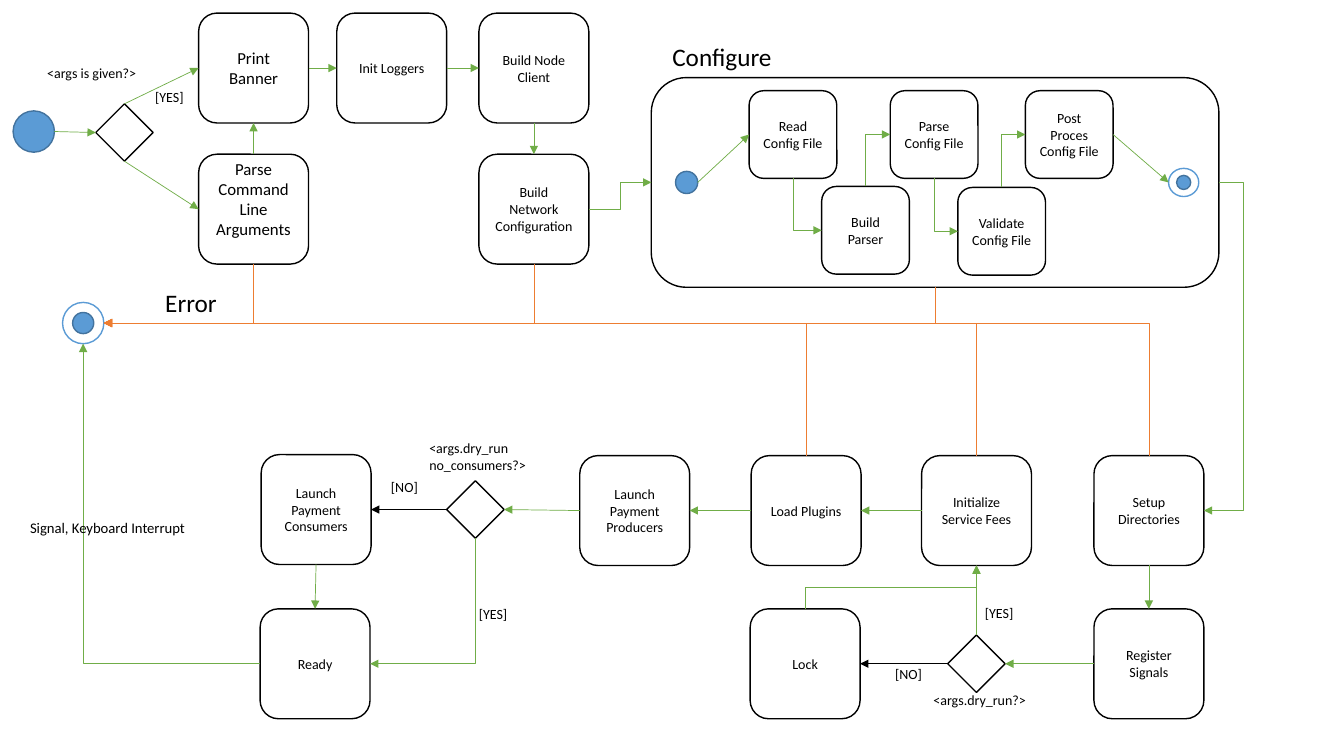
from lxml.etree import SubElement
from pptx import Presentation
from pptx.dml.color import RGBColor
from pptx.enum.shapes import MSO_AUTO_SHAPE_TYPE as Preset, MSO_CONNECTOR as Link
from pptx.enum.text import MSO_ANCHOR as Anchor, MSO_AUTO_SIZE as AutoSize, PP_ALIGN as Align
from pptx.oxml.ns import qn
from pptx.util import Inches, Pt

WHITE = RGBColor(0xFF, 0xFF, 0xFF)
BLACK = RGBColor(0x00, 0x00, 0x00)
BLUE = RGBColor(0x5B, 0x9B, 0xD5)
DARK_BLUE = RGBColor(0x43, 0x73, 0x9E)
GREEN = RGBColor(0x70, 0xAD, 0x47)
ORANGE = RGBColor(0xED, 0x7D, 0x31)

FONT = "Calibri"
STEP = 1.09      # side of a main step
SUBSTEP = 0.87   # side of a step inside Configure
DECISION = 0.57
SIDES = ("top", "left", "bottom", "right")


def style_text(frame, size, align):
    for paragraph in frame.paragraphs:
        paragraph.alignment = align
        for run in paragraph.runs:
            run.font.name = FONT
            run.font.size = Pt(size)
            run.font.color.rgb = BLACK


def add_figure(slide, preset, left, top, width, height, fill=WHITE, outline=BLACK):
    figure = slide.shapes.add_shape(
        preset, Inches(left), Inches(top), Inches(width), Inches(height))
    figure.shadow.inherit = False
    figure.fill.solid()
    figure.fill.fore_color.rgb = fill
    figure.line.color.rgb = outline
    figure.line.width = Pt(1)
    return figure


def add_step(slide, text, left, top, side=STEP, size=10):
    step = add_figure(slide, Preset.ROUNDED_RECTANGLE, left, top, side, side)
    frame = step.text_frame
    frame.text = text
    frame.word_wrap = True
    frame.vertical_anchor = Anchor.MIDDLE
    style_text(frame, size, Align.CENTER)
    return step


def add_decision(slide, left, top):
    return add_figure(slide, Preset.DIAMOND, left, top, DECISION, DECISION)


def add_start(slide, left, top, size):
    return add_figure(slide, Preset.OVAL, left, top, size, size, BLUE, DARK_BLUE)


def add_end(slide, left, top, width, height, core):
    ring = add_figure(slide, Preset.OVAL, left, top, width, height, WHITE, BLUE)
    add_start(slide, left + (width - core) / 2, top + (height - core) / 2, core)
    return ring


def add_label(slide, text, left, top, width, height, size=10, wrap=False):
    label = slide.shapes.add_textbox(
        Inches(left), Inches(top), Inches(width), Inches(height))
    frame = label.text_frame
    frame.text = text
    frame.word_wrap = wrap
    frame.auto_size = AutoSize.SHAPE_TO_FIT_TEXT
    style_text(frame, size, Align.LEFT)


def side_point(figure, side):
    x, y = figure.left + figure.width // 2, figure.top + figure.height // 2
    return {"top": (x, figure.top), "bottom": (x, figure.top + figure.height),
            "left": (figure.left, y), "right": (figure.left + figure.width, y)}[side]


def finish_arrow(connector, ends, color, width):
    connector.line.color.rgb = color
    connector.line.width = Pt(width)
    properties = connector._element.spPr
    SubElement(properties.find(qn("a:ln")), qn("a:tailEnd"), type="triangle")
    SubElement(properties, qn("a:effectLst"))
    # Glue both ends; an oval has twice as many connection sites
    glue = connector._element.nvCxnSpPr.cNvCxnSpPr
    for tag, (figure, side) in zip(("a:stCxn", "a:endCxn"), ends):
        sites = 2 if figure.auto_shape_type == Preset.OVAL else 1
        SubElement(glue, qn(tag), id=str(figure.shape_id),
                   idx=str(SIDES.index(side) * sites))


def add_arrow(slide, source, source_side, target, target_side, color=GREEN, width=0.5):
    arrow = slide.shapes.add_connector(
        Link.STRAIGHT, *side_point(source, source_side), *side_point(target, target_side))
    finish_arrow(arrow, ((source, source_side), (target, target_side)), color, width)


def add_elbow(slide, source, source_side, target, target_side, color=GREEN, bend_x=None):
    x1, y1 = side_point(source, source_side)
    x2, y2 = side_point(target, target_side)
    vertical = ("top", "bottom")
    upright = source_side in vertical
    begin, end = (x1, y1), (x2, y2)
    if upright:  # lay the box on its side, then turn it by 90 degrees
        center_x, center_y = (x1 + x2) // 2, (y1 + y2) // 2
        half_x, half_y = (x2 - x1) // 2, (y2 - y1) // 2
        begin = (center_x - half_y, center_y + half_x)
        end = (center_x + half_y, center_y - half_x)
    elbow = slide.shapes.add_connector(Link.ELBOW, *begin, *end)
    properties = elbow._element.spPr
    geometry = properties.find(qn("a:prstGeom"))
    if upright:
        properties.find(qn("a:xfrm")).set("rot", "5400000")
    if upright != (target_side in vertical):
        geometry.set("prst", "bentConnector2")
    if bend_x is not None:
        share = round((Inches(bend_x) - x1) / (x2 - x1) * 100000)
        SubElement(geometry.find(qn("a:avLst")), qn("a:gd"),
                   name="adj1", fmla=f"val {share}")
    finish_arrow(elbow, ((source, source_side), (target, target_side)), color, 0.5)


def main():
    deck = Presentation()
    deck.slide_width, deck.slide_height = Inches(13.33), Inches(7.5)
    slide = deck.slides.add_slide(deck.slide_layouts[6])

    # Start-up
    start = add_start(slide, 0.13, 1.1, 0.41)
    has_args = add_decision(slide, 0.95, 1.03)
    banner = add_step(slide, "Print Banner", 1.97, 0.13, size=12)
    arguments = add_step(slide, "Parse\nCommand Line Arguments", 1.97, 1.53, size=12)
    arguments.text_frame.margin_bottom = Inches(0.25)
    loggers = add_step(slide, "Init Loggers", 3.34, 0.13)
    client = add_step(slide, "Build Node Client", 4.75, 0.13)
    network = add_step(slide, "Build Network Configuration", 4.75, 1.53)

    # Configure
    configure = add_figure(slide, Preset.ROUNDED_RECTANGLE, 6.46, 0.77, 5.63, 2.08)
    config_start = add_start(slide, 6.7, 1.7, 0.22)
    read = add_step(slide, "Read Config File", 7.43, 0.9, SUBSTEP)
    parser = add_step(slide, "Build Parser", 8.15, 1.85, SUBSTEP)
    parsing = add_step(slide, "Parse Config File", 8.83, 0.9, SUBSTEP)
    validate = add_step(slide, "Validate Config File", 9.5, 1.86, SUBSTEP)
    post = add_step(slide, "Post Proces Config File", 10.17, 0.9, SUBSTEP)
    config_end = add_end(slide, 11.59, 1.67, 0.3, 0.28, 0.14)

    # Launch, from right to left
    error = add_end(slide, 0.62, 3, 0.41, 0.41, 0.21)
    directories = add_step(slide, "Setup Directories", 10.85, 4.52)
    fees = add_step(slide, "Initialize Service Fees", 9.14, 4.52)
    plugins = add_step(slide, "Load Plugins", 7.45, 4.52)
    producers = add_step(slide, "Launch Payment Producers", 5.75, 4.52)
    no_consumers = add_decision(slide, 4.43, 4.77)
    consumers = add_step(slide, "Launch Payment Consumers", 2.59, 4.51)
    signals = add_step(slide, "Register Signals", 10.85, 6.04)
    dry_run = add_decision(slide, 9.4, 6.3)
    lock = add_step(slide, "Lock", 7.44, 6.04)
    ready = add_step(slide, "Ready", 2.58, 6.04)

    # Straight flow
    for flow in (
        (start, "right", has_args, "left"), (has_args, "top", banner, "left"),
        (has_args, "bottom", arguments, "left"), (arguments, "top", banner, "bottom"),
        (banner, "right", loggers, "left"), (loggers, "right", client, "left"),
        (client, "bottom", network, "top"), (config_start, "right", read, "left"),
        (post, "right", config_end, "left"), (directories, "bottom", signals, "top"),
        (signals, "left", dry_run, "right"), (dry_run, "top", fees, "bottom"),
        (fees, "left", plugins, "right"), (plugins, "left", producers, "right"),
        (producers, "left", no_consumers, "right"), (consumers, "bottom", ready, "top"),
    ):
        add_arrow(slide, *flow)
    add_arrow(slide, no_consumers, "left", consumers, "right", BLACK, 1)
    add_arrow(slide, dry_run, "left", lock, "right", BLACK, 1)

    # Bent flow
    for flow in (
        (network, "right", configure, "left"), (read, "bottom", parser, "left"),
        (parser, "top", parsing, "left"), (parsing, "bottom", validate, "left"),
        (validate, "top", post, "left"), (lock, "top", fees, "bottom"),
        (no_consumers, "bottom", ready, "right"), (ready, "left", error, "bottom"),
    ):
        add_elbow(slide, *flow)
    add_elbow(slide, configure, "right", directories, "right", bend_x=12.33)

    # Errors
    for failing in (arguments, network, configure):
        add_elbow(slide, failing, "bottom", error, "right", ORANGE)
    for failing in (fees, directories, plugins):
        add_elbow(slide, failing, "top", error, "right", ORANGE)

    # Labels
    add_label(slide, "Configure", 6.57, 0.36, 1.2, 0.4, 18)
    add_label(slide, "Error", 1.54, 2.8, 0.72, 0.4, 18)
    add_label(slide, "Signal, Keyboard Interrupt", 0.2, 5.1, 1.77, 0.28, 10.5)
    add_label(slide, "<args is given?>", 0.37, 0.59, 1.17, 0.27, wrap=True)
    add_label(slide, "<args.dry_run no_consumers?>", 4.16, 4.31, 1.17, 0.44, wrap=True)
    add_label(slide, "<args.dry_run?>", 9.16, 6.81, 1.15, 0.27, wrap=True)
    for left, top in ((1.44, 0.83), (4.65, 5.96), (9.67, 5.95)):
        add_label(slide, "[YES]", left, top, 0.49, 0.27)
    for left, top in ((3.78, 4.7), (8.78, 6.55)):
        add_label(slide, "[NO]", left, top, 0.47, 0.27)

    deck.save("out.pptx")


main()
